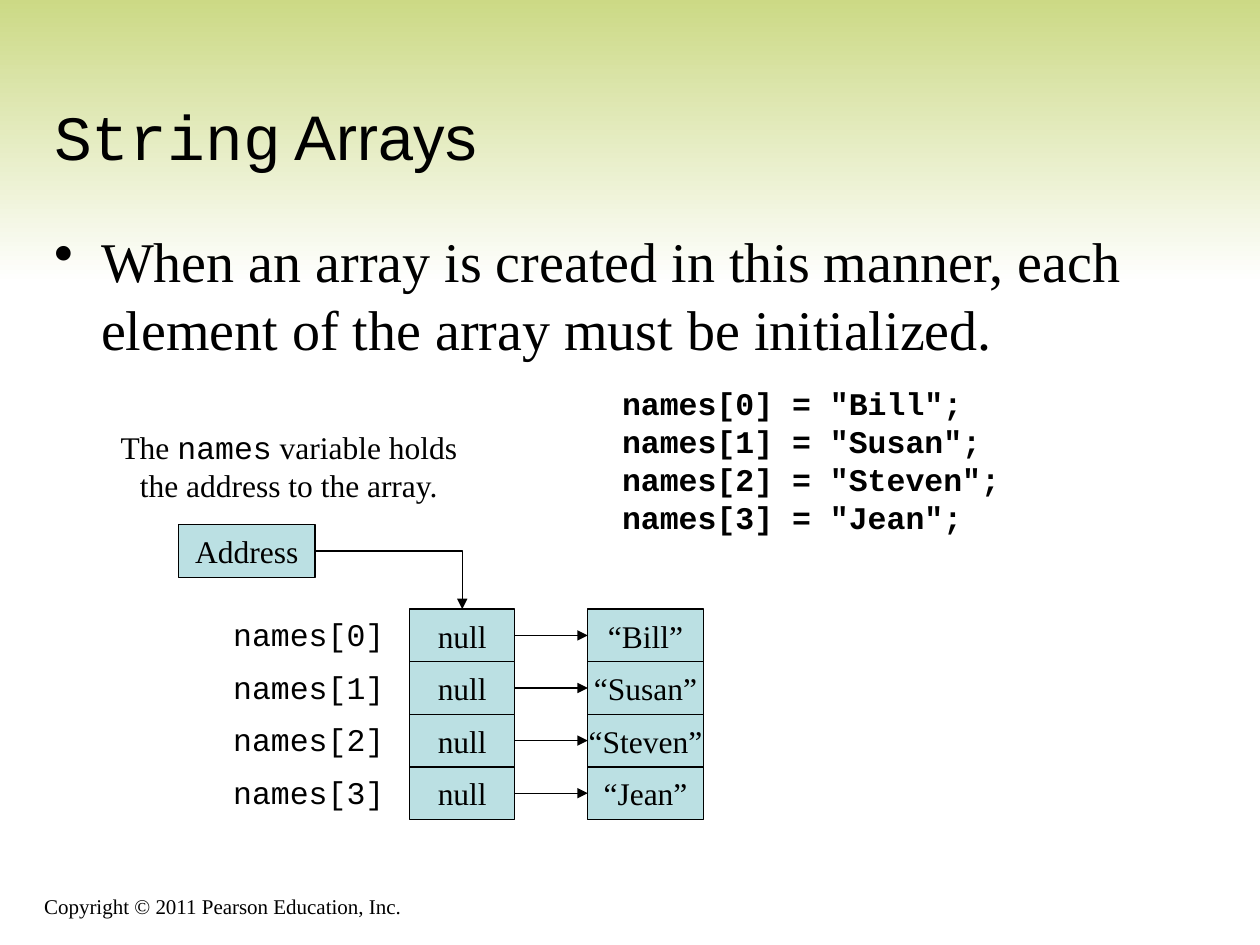
from dataclasses import dataclass
from typing import Optional

from pptx import Presentation, util as u
from pptx.dml import color
from pptx.enum import shapes, text
from pptx.oxml import ns, xmlchemy

SERIF, SANS, MONO = "Times New Roman", "Arial", "Courier New"
BLACK, CELL_BLUE, HEADER_GREEN, WHITE = "000000", "BBE0E3", "CAD881", "FFFFFF"
ROW_TOP, ROW_HEIGHT = 12.28, 1.06
NAMES = ["Bill", "Susan", "Steven", "Jean"]


@dataclass
class Box:
    left: float
    top: float
    width: float
    height: float


@dataclass
class Style:
    font: str = SERIF
    size: float = 18
    bold: bool = False
    align: text.PP_ALIGN = text.PP_ALIGN.LEFT
    anchor: text.MSO_ANCHOR = text.MSO_ANCHOR.TOP
    wrap: bool = True
    bullet: Optional[str] = None


CENTERED = Style(align=text.PP_ALIGN.CENTER, anchor=text.MSO_ANCHOR.MIDDLE, wrap=False)


def rgb(value: str) -> color.RGBColor:
    return color.RGBColor.from_string(value)


def lengths(box: Box) -> list:
    return [u.Cm(side) for side in (box.left, box.top, box.width, box.height)]


def add_child(parent, tag: str, **attributes: str) -> None:
    child = xmlchemy.OxmlElement(tag)
    for name, value in attributes.items():
        child.set(name, value)
    parent.append(child)


def write(frame, lines: list, style: Style) -> None:
    """Fill a frame; a line is a string or a list of (words, font) pairs."""
    frame.word_wrap = style.wrap
    frame.vertical_anchor = style.anchor
    for index, line in enumerate(lines):
        paragraph = frame.add_paragraph() if index else frame.paragraphs[0]
        paragraph.alignment = style.align
        if style.bullet:
            properties = paragraph._p.get_or_add_pPr()
            properties.set("marL", str(u.Cm(0.95)))
            properties.set("indent", str(u.Cm(-0.95)))
            add_child(properties, "a:buChar", char=style.bullet)
        paragraph.font.size = u.Pt(style.size)
        paragraph.font.bold = style.bold
        paragraph.font.color.rgb = rgb(BLACK)
        if isinstance(line, str):
            paragraph.font.name = style.font
            paragraph.add_run().text = line
            continue
        for words, font in line:
            run = paragraph.add_run()
            run.text, run.font.name = words, font


def add_text(slide, box: Box, lines: list, style: Style) -> None:
    write(slide.shapes.add_textbox(*lengths(box)).text_frame, lines, style)


def add_rectangle(slide, box: Box):
    rectangle = slide.shapes.add_shape(shapes.MSO_SHAPE.RECTANGLE, *lengths(box))
    rectangle.shadow.inherit = False
    return rectangle


def add_header(slide) -> None:
    header = add_rectangle(slide, Box(0, -0.2, 25.4, 5.92))
    header.line.fill.background()
    header.fill.gradient()
    header.fill.gradient_angle = 270
    for stop, shade, position in zip(header.fill.gradient_stops, (HEADER_GREEN, WHITE), (0, 1)):
        stop.color.rgb, stop.position = rgb(shade), position


def add_cell(slide, box: Box, label: str):
    cell = add_rectangle(slide, box)
    cell.fill.solid()
    cell.fill.fore_color.rgb = rgb(CELL_BLUE)
    cell.line.color.rgb = rgb(BLACK)
    cell.line.width = u.Pt(0.75)
    write(cell.text_frame, [label], CENTERED)
    return cell


def add_arrow(slide, start, start_side: int, end, end_side: int, bent: bool = False) -> None:
    kind = shapes.MSO_CONNECTOR.ELBOW if bent else shapes.MSO_CONNECTOR.STRAIGHT
    arrow = slide.shapes.add_connector(kind, 0, 0, 0, 0)
    arrow.begin_connect(start, start_side)
    arrow.end_connect(end, end_side)
    arrow.line.color.rgb = rgb(BLACK)
    arrow.line.width = u.Pt(0.75)
    properties = arrow._element.spPr
    add_child(properties.get_or_add_ln(), "a:tailEnd", type="triangle")
    add_child(properties, "a:effectLst")
    if bent:
        properties.find(ns.qn("a:prstGeom")).set("prst", "bentConnector2")


def main() -> None:
    deck = Presentation()
    deck.slide_width, deck.slide_height = u.Cm(25.4), u.Cm(19.05)
    slide = deck.slides.add_slide(deck.slide_layouts[6])
    add_header(slide)
    bottom = text.MSO_ANCHOR.BOTTOM
    add_text(slide, Box(0.64, 17.58, 15.44, 1.07),
             ["Copyright © 2011 Pearson Education, Inc."], Style(size=12, anchor=bottom))
    add_text(slide, Box(0.84, 0.84, 23.93, 2.77),
             [[("String", MONO), (" Arrays", SANS)]], Style(size=36, anchor=bottom))
    add_text(slide, Box(0.84, 4.45, 23.04, 4.5),
             ["When an array is created in this manner, each element of the array "
              "must be initialized."], Style(size=32, bullet="•"))
    add_text(slide, Box(2.18, 8.51, 7.29, 1.78),
             [[("The ", SERIF), ("names", MONO), (" variable holds", SERIF)],
              "the address to the array."], Style(align=text.PP_ALIGN.CENTER, wrap=False))
    add_text(slide, Box(12.29, 7.62, 8.13, 3.3),
             [f'names[{index}] = "{name}";' for index, name in enumerate(NAMES)],
             Style(font=MONO, bold=True, wrap=False))

    address = add_cell(slide, Box(3.6, 10.58, 2.75, ROW_HEIGHT), "Address")
    for index, name in enumerate(NAMES):
        top = ROW_TOP + index * ROW_HEIGHT
        add_text(slide, Box(4.45, top, 3.86, 1.02), [f"names[{index}]"], Style(font=MONO))
        element = add_cell(slide, Box(8.26, top, 2.12, ROW_HEIGHT), "null")
        value = add_cell(slide, Box(11.85, top, 2.33, ROW_HEIGHT), f"“{name}”")
        add_arrow(slide, element, 3, value, 1)
        if index == 0:
            add_arrow(slide, address, 3, element, 0, bent=True)
    deck.save("out.pptx")


if __name__ == "__main__":
    main()
